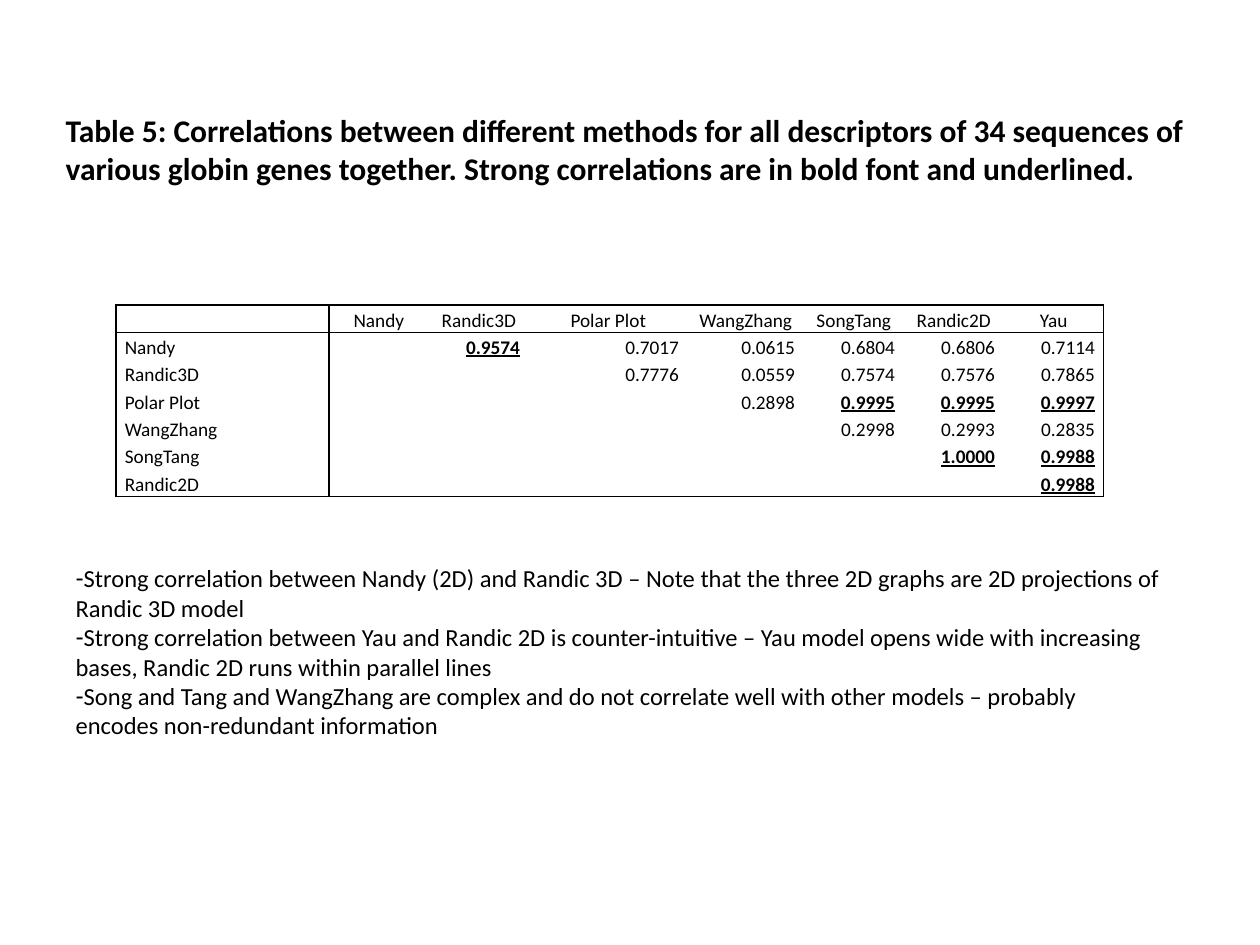
"""Build the slide with the correlation table of seven sequence methods."""
from dataclasses import dataclass

from lxml import etree
from pptx import Presentation
from pptx import util as u
from pptx.dml.color import RGBColor
from pptx.enum import text
from pptx.oxml.ns import qn

BLACK = RGBColor(0x00, 0x00, 0x00)
FONT = "Calibri"
SCALE = 914400 / 126
TABLE_SIZE = 11
STRONG = 0.95
ROW_HEIGHT = 27
COLUMN_WIDTHS = (213, 100, 100, 159, 116, 100, 100, 100)
METHODS = ("Nandy", "Randic3D", "Polar Plot", "WangZhang", "SongTang", "Randic2D", "Yau")
CORRELATIONS = (
    ("0.9574", "0.7017", "0.0615", "0.6804", "0.6806", "0.7114"),
    ("0.7776", "0.0559", "0.7574", "0.7576", "0.7865"),
    ("0.2898", "0.9995", "0.9995", "0.9997"),
    ("0.2998", "0.2993", "0.2835"),
    ("1.0000", "0.9988"),
    ("0.9988",),
)


@dataclass(frozen=True)
class TextBlock:
    left: int
    top: int
    width: int
    height: int
    size: int
    bold: bool
    bullet: str
    lines: tuple[str, ...]


@dataclass(frozen=True)
class Entry:
    words: str
    align: text.PP_ALIGN
    strong: bool = False


TITLE = TextBlock(53, 105, 1155, 89, 18, True, "", (
    "Table 5: Correlations between different methods for all descriptors of 34 sequences of "
    "various globin genes together. Strong correlations are in bold font and underlined.",
))
FINDINGS = TextBlock(63, 557, 1113, 190, 14, False, "-", (
    "Strong correlation between Nandy (2D) and Randic 3D – Note that the three 2D graphs "
    "are 2D projections of Randic 3D model",
    "Strong correlation between Yau and Randic 2D is counter-intuitive – Yau model opens wide "
    "with increasing bases, Randic 2D runs within parallel lines",
    "Song and Tang and WangZhang are complex and do not correlate well with other models – "
    "probably encodes non-redundant information",
))


def px(length: int) -> u.Emu:
    return u.Emu(round(length * SCALE))


def style_font(font, size: int, bold: bool) -> None:
    font.name = FONT
    font.size = u.Pt(size)
    font.bold = bold
    font.color.rgb = BLACK


def fill_placeholder(box, block: TextBlock) -> None:
    box.left, box.top = px(block.left), px(block.top)
    box.width, box.height = px(block.width), px(block.height)
    frame = box.text_frame
    frame.text = "\n".join(block.lines)
    frame.word_wrap = True
    frame.auto_size = text.MSO_AUTO_SIZE.NONE
    frame.vertical_anchor = text.MSO_ANCHOR.TOP
    for para in frame.paragraphs:
        para.alignment = text.PP_ALIGN.LEFT
        para.space_before = u.Pt(0)
        if block.bullet:
            properties = para._p.get_or_add_pPr()
            properties.set("marL", "0")
            properties.set("indent", str(-u.Inches(0.1)))
            etree.SubElement(properties, qn("a:buChar"), char=block.bullet)
        for span in para.runs:
            style_font(span.font, block.size, block.bold)


def table_entry(row: int, column: int) -> Entry:
    if row == 0:
        return Entry(METHODS[column - 1] if column else "", text.PP_ALIGN.CENTER)
    if column == 0:
        return Entry(METHODS[row - 1], text.PP_ALIGN.LEFT)
    if column <= row:
        return Entry("", text.PP_ALIGN.RIGHT)
    value = CORRELATIONS[row - 1][column - row - 1]
    return Entry(value, text.PP_ALIGN.RIGHT, float(value) > STRONG)


def draw_borders(cell, sides: dict[str, bool]) -> None:
    properties = cell._tc.get_or_add_tcPr()
    for side, visible in sides.items():
        line = etree.SubElement(properties, qn(f"a:ln{side}"), w=str(u.Pt(1)))
        if visible:
            paint = etree.SubElement(line, qn("a:solidFill"))
            etree.SubElement(paint, qn("a:srgbClr"), val=str(BLACK))
        else:
            etree.SubElement(line, qn("a:noFill"))


def fill_cell(cell, entry: Entry) -> None:
    cell.fill.background()
    cell.margin_left = cell.margin_right = u.Inches(0.07)
    cell.margin_top = cell.margin_bottom = 0
    cell.vertical_anchor = text.MSO_ANCHOR.BOTTOM
    para = cell.text_frame.paragraphs[0]
    para.alignment = entry.align
    para.line_spacing = 1.15
    if not entry.words:
        etree.SubElement(para._p, qn("a:endParaRPr"), sz=str(TABLE_SIZE * 100))
        return
    para.text = entry.words
    span = para.runs[0]
    style_font(span.font, TABLE_SIZE, entry.strong)
    span.font.underline = entry.strong


def add_correlation_table(page) -> None:
    rows, columns = len(CORRELATIONS) + 1, len(COLUMN_WIDTHS)
    table = page.shapes.add_table(
        rows, columns, px(116), px(305), px(sum(COLUMN_WIDTHS)), px(rows * ROW_HEIGHT)
    ).table
    table.first_row = table.horz_banding = False
    for column, width in zip(table.columns, COLUMN_WIDTHS):
        column.width = px(width)
    for row in range(rows):
        table.rows[row].height = px(ROW_HEIGHT)
        for column in range(columns):
            cell = table.cell(row, column)
            draw_borders(cell, {
                "L": column in (0, 1),
                "R": column in (0, columns - 1),
                "T": row in (0, 1),
                "B": row in (0, rows - 1),
            })
            fill_cell(cell, table_entry(row, column))


def main() -> None:
    deck = Presentation()
    deck.slide_width, deck.slide_height = px(1260), px(945)
    page = deck.slides.add_slide(deck.slide_layouts[1])
    add_correlation_table(page)
    fill_placeholder(page.shapes.title, TITLE)
    fill_placeholder(page.placeholders[1], FINDINGS)
    deck.save("out.pptx")


if __name__ == "__main__":
    main()
